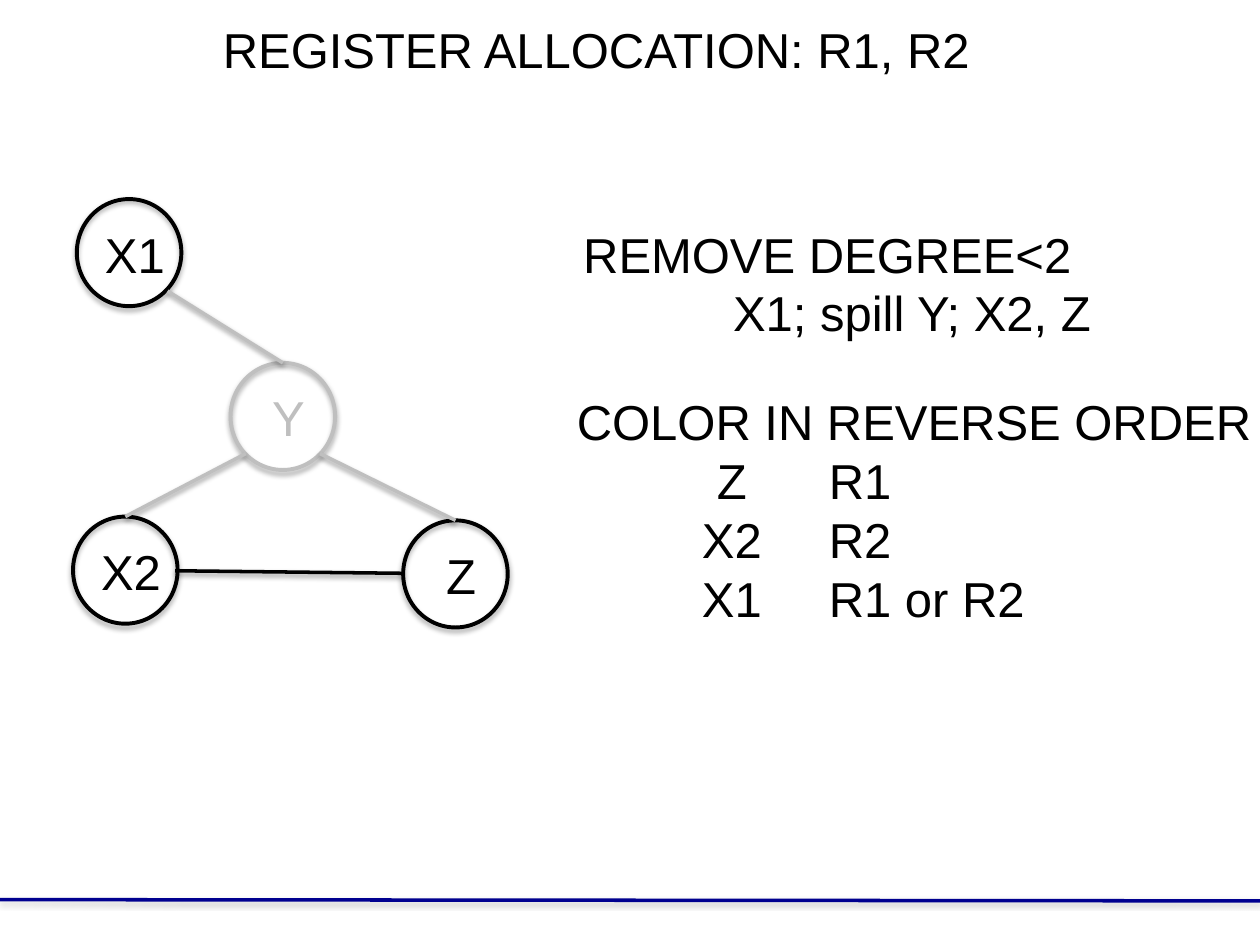
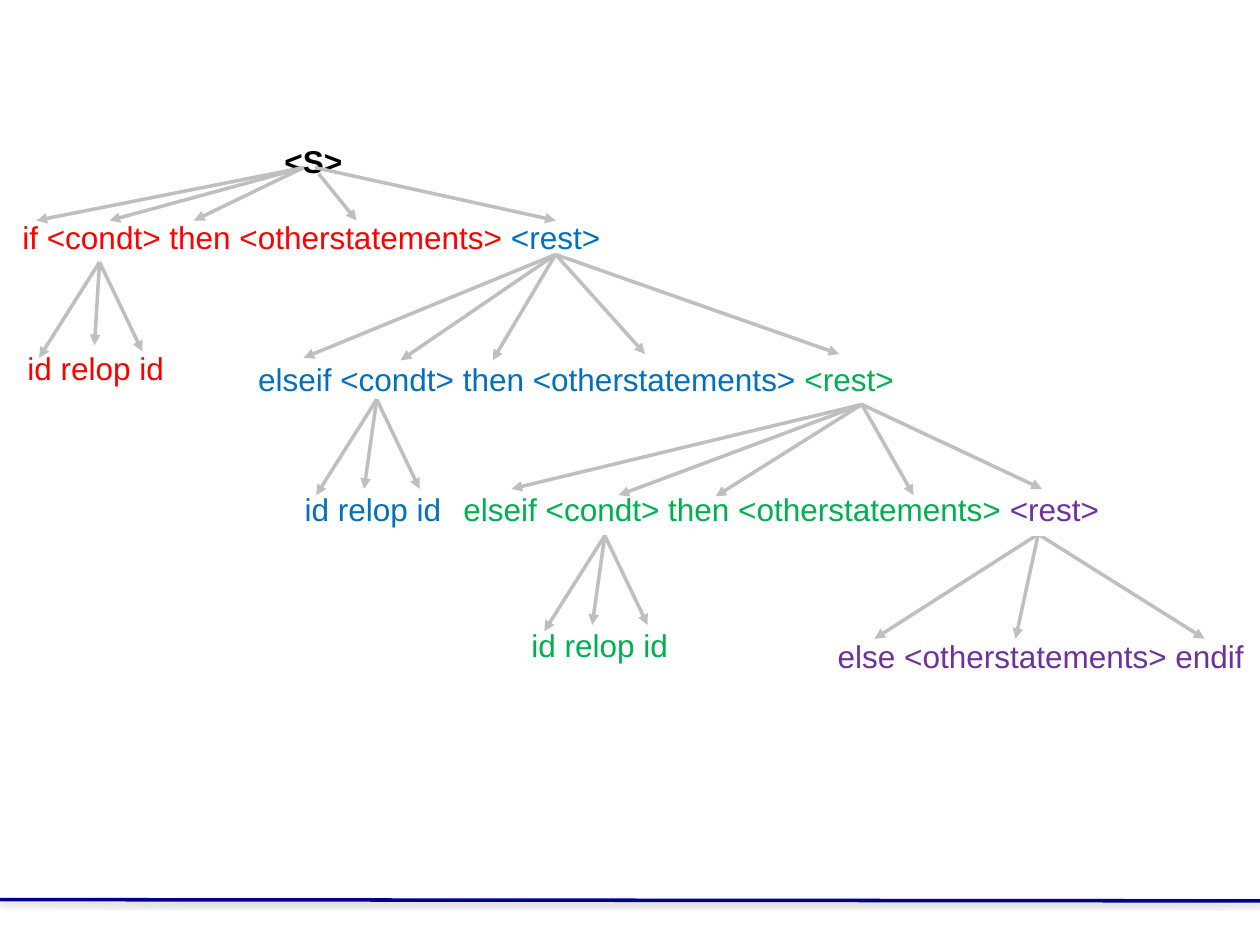
"""Build two compiler slides: register allocation and an if-statement parse tree."""
import pptx
import pptx.dml.color
import pptx.enum.shapes
import pptx.enum.text
import pptx.oxml.ns
import pptx.util
from lxml import etree

Inches, Pt = pptx.util.Inches, pptx.util.Pt
qn = pptx.oxml.ns.qn
ALIGN = pptx.enum.text.PP_ALIGN
FONT = "Arial"
BLACK, GRAY, WHITE, NAVY = "000000", "BFBFBF", "FFFFFF", "000090"
RED, BLUE, GREEN, PURPLE = "FF0000", "0070C0", "00B050", "7030A0"
NODE_W, NODE_H = 0.83, 0.85


def rgb(value):
    """Turn a hex string into a colour."""
    return pptx.dml.color.RGBColor.from_string(value)


def set_line(sp, color, width):
    """Give a shape or connector a solid line."""
    sp.line.color.rgb = rgb(color)
    sp.line.width = Pt(width)


def set_shadow(sp, color=None, alpha=35, dist=1.8):
    """Replace the theme shadow with a soft one below, or with none."""
    effects = etree.SubElement(sp._element.spPr, qn("a:effectLst"))
    if color:
        shadow = etree.SubElement(effects, qn("a:outerShdw"), blurRad=str(Pt(3.1)),
                                  dist=str(Pt(dist)), dir="5400000", rotWithShape="0")
        tint = etree.SubElement(shadow, qn("a:srgbClr"), val=color)
        etree.SubElement(tint, qn("a:alpha"), val=str(alpha * 1000))


def add_line(slide, start, end, color=GRAY, shadow=None, arrow=False):
    """Draw a straight line, with an arrowhead at its end if asked."""
    kind = pptx.enum.shapes.MSO_CONNECTOR.STRAIGHT
    sp = slide.shapes.add_connector(kind, *map(Inches, (*start, *end)))
    set_line(sp, color, 2)
    if arrow:
        etree.SubElement(sp._element.spPr.find(qn("a:ln")), qn("a:tailEnd"), type="triangle")
    set_shadow(sp, shadow, 38, 1.6)
    return sp


def add_run(p, text, size, color=BLACK, bold=False):
    """Add one formatted run to a paragraph."""
    r = p.add_run()
    r.text = text
    r.font.name, r.font.size, r.font.bold = FONT, Pt(size), bold
    r.font.color.rgb = rgb(color)


def add_text(slide, box, paragraphs, size=28):
    """Add a text box; each paragraph is a list of run arguments."""
    sp = slide.shapes.add_textbox(*map(Inches, box))
    tf = sp.text_frame
    tf.word_wrap = False
    tf.auto_size = pptx.enum.text.MSO_AUTO_SIZE.SHAPE_TO_FIT_TEXT
    for i, runs in enumerate(paragraphs):
        p = tf.add_paragraph() if i else tf.paragraphs[0]
        p.alignment = ALIGN.LEFT
        p.line_spacing = Pt(size * 1.2)
        for text, *style in runs:
            add_run(p, text, size, *style)
    return sp


def indent(p, left):
    """Indent a whole paragraph."""
    p._p.get_or_add_pPr().set("marL", str(Inches(left)))


def set_tabs(p, stops):
    """Set the tab stops of a paragraph as (position, alignment) pairs."""
    tabs = etree.SubElement(p._p.get_or_add_pPr(), qn("a:tabLst"))
    for pos, align in stops:
        etree.SubElement(tabs, qn("a:tab"), pos=str(Inches(pos)), algn=align)


def add_node(slide, name, left, top, color=BLACK):
    """Draw a circled graph node with its name."""
    sp = slide.shapes.add_shape(pptx.enum.shapes.MSO_SHAPE.OVAL,
                                *map(Inches, (left, top, NODE_W, NODE_H)))
    sp.fill.background()
    set_line(sp, color, 2.25)
    set_shadow(sp, BLACK)
    label = add_text(slide, (left + 0.12, top + 0.15, 0.68, 0.57), [[(name, color)]])
    label.text_frame.paragraphs[0].alignment = ALIGN.CENTER
    return sp


def add_phrase(slide, left, top, width, *paragraphs, height=0.4):
    """Add a grammar phrase framed in white."""
    sp = add_text(slide, (left, top, width, height), paragraphs, size=18)
    set_line(sp, WHITE, 2.25)
    return sp


def add_fan(slide, start, ends):
    """Draw arrows from one point to several."""
    for end in ends:
        add_line(slide, start, end, arrow=True)


def add_condition(slide, apex, phrase_at, color, middle=(-0.1, 0.71)):
    """Expand a condition into its three tokens."""
    x, y = apex
    add_phrase(slide, *phrase_at, 1.3, [("id relop id", color)])
    add_fan(slide, apex, [(x + dx, y + dy) for dx, dy in ((-0.48, 0.76), middle, (0.34, 0.71))])


def add_elseif(slide, left, top, color, rest_color):
    """Add an elseif phrase ending in the next rest symbol."""
    add_phrase(slide, left, top, 5.29,
               [("elseif <condt> then <otherstatements> ", color), ("<rest>", rest_color)])


def new_slide(prs):
    """Add a blank slide with the footer rule."""
    slide = prs.slides.add_slide(prs.slide_layouts[6])
    add_line(slide, (0, 7.14), (10, 7.15), NAVY, "808080")
    return slide


def build_allocation(prs):
    """Build the register allocation slide."""
    slide = new_slide(prs)
    add_node(slide, "X1", 0.61, 1.58)
    x2 = add_node(slide, "X2", 0.58, 4.1)
    y = add_node(slide, "Y", 1.83, 2.88, GRAY)
    z = add_node(slide, "Z", 3.2, 4.13)
    for start, node in (((1.33, 2.31), y), ((1.95, 3.6), x2), ((2.54, 3.6), z)):
        add_line(slide, start, (3, 4), GRAY, BLACK).end_connect(node, 0)
    add_line(slide, (1.39, 4.53), (3.2, 4.55), BLACK, BLACK)

    add_text(slide, (1.67, 0.11, 6.41, 0.57), [[("REGISTER ALLOCATION: R1, R2",)]])
    removal = add_text(slide, (4.53, 1.73, 4.48, 1.04),
                       [[("REMOVE DEGREE<2",)], [("X1; spill Y; X2, Z",)]])
    indent(removal.text_frame.paragraphs[1], 1.19)
    registers = (("Z", "R1"), ("X2", "R2"), ("X1", "R1 or R2"))
    coloring = add_text(slide, (4.48, 3.06, 5.61, 1.99),
                        [[("COLOR IN REVERSE ORDER",)]]
                        + [[(f"\t{name}\t{register}",)] for name, register in registers])
    for p in coloring.text_frame.paragraphs[1:]:
        set_tabs(p, ((1.23, "ctr"), (2, "l")))


def build_parse_tree(prs):
    """Build the parse tree slide."""
    slide = new_slide(prs)
    root = add_phrase(slide, 0.08, 1.08, 4.83, [("<S>", BLACK, True)],
                      [("if <condt> then <otherstatements> ", RED), ("<rest>", BLUE)],
                      height=1.01)
    symbol, statement = root.text_frame.paragraphs
    indent(symbol, 2.08)
    statement.space_before = Pt(21.6)
    add_fan(slide, (2.41, 1.33), [(x, 1.75) for x in (0.29, 0.87, 1.54)])
    add_fan(slide, (2.5, 1.33), [(4.41, 1.75)])
    add_fan(slide, (2.53, 1.38), [(2.83, 1.75)])
    add_condition(slide, (0.79, 2.08), (0.12, 2.72), RED, (-0.04, 0.66))

    add_elseif(slide, 1.95, 2.81, BLUE, GREEN)
    add_fan(slide, (4.41, 2.02),
            [(2.41, 2.84), (3.18, 2.86), (3.91, 2.86), (5.12, 2.81), (6.66, 2.81)])
    add_condition(slide, (2.99, 3.17), (2.32, 3.84), BLUE)

    add_phrase(slide, 6.55, 5.01, 3.45, [("else <otherstatements> endif", PURPLE)])
    add_fan(slide, (8.24, 4.24), [(x, 5.07) for x in (6.94, 8.06, 9.56)])

    add_elseif(slide, 3.58, 3.84, GREEN, PURPLE)
    add_fan(slide, (6.84, 3.21),
            [(4.06, 3.88), (4.91, 3.93), (5.68, 3.94), (7.25, 3.93), (8.27, 3.88)])
    add_condition(slide, (4.8, 4.25), (4.12, 4.92), GREEN)


def main():
    """Build and save the presentation."""
    prs = pptx.Presentation()
    prs.slide_width, prs.slide_height = Inches(10), Inches(7.5)
    build_allocation(prs)
    build_parse_tree(prs)
    prs.save("out.pptx")


if __name__ == "__main__":
    main()
